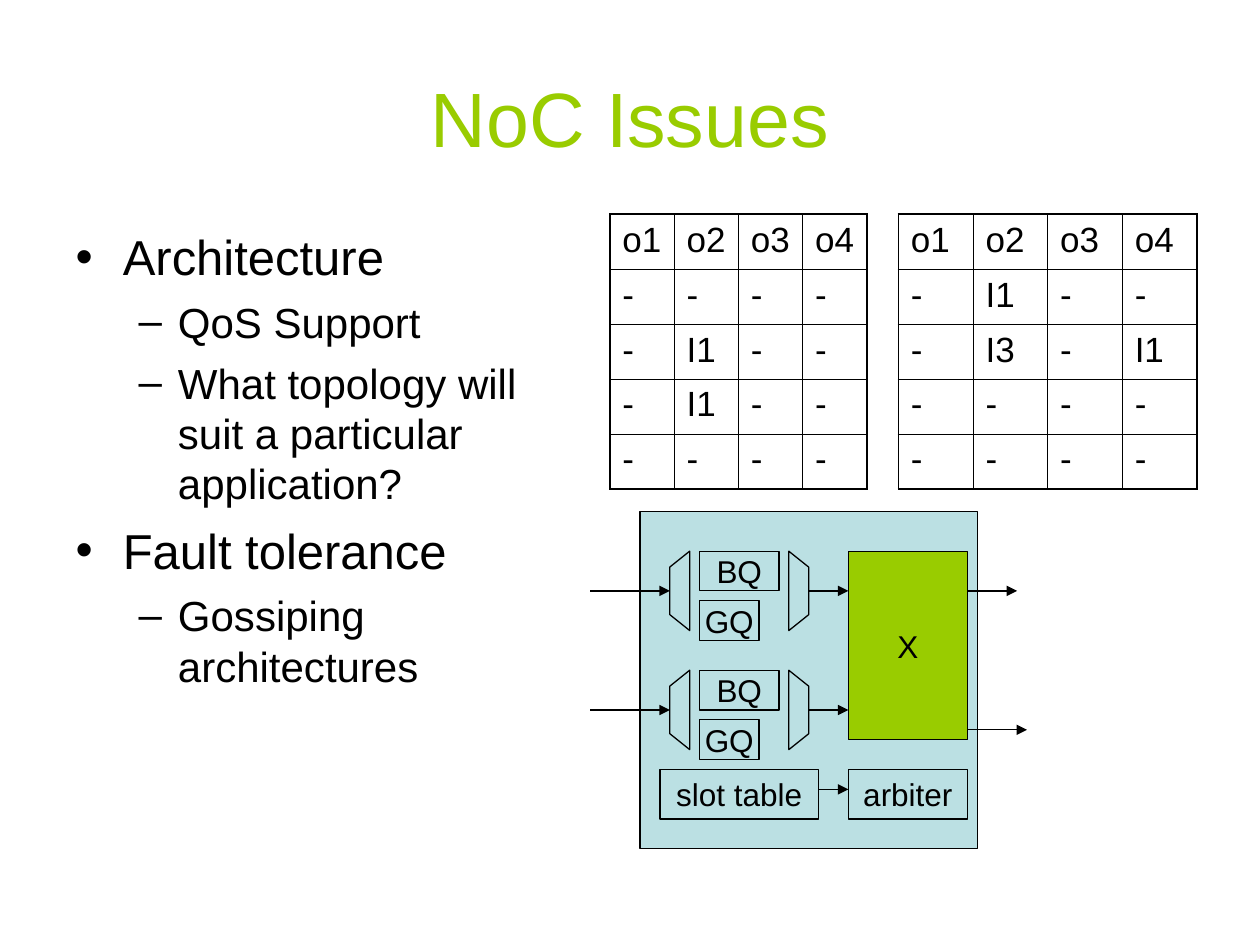
from lxml.etree import SubElement
from pptx import Presentation
from pptx.dml.color import RGBColor
from pptx.enum.shapes import MSO_CONNECTOR, MSO_SHAPE
from pptx.enum.text import MSO_ANCHOR, MSO_AUTO_SIZE, PP_ALIGN
from pptx.oxml.ns import qn
from pptx.util import Cm, Inches, Pt

BLACK, GREEN, PALE_BLUE = "000000", "99CC00", "BBE0E3"
FONT = "Arial"
UNIT = Cm(0.2)  # grid step of the router diagram
CHANNEL_PITCH = 12  # grid rows from one input channel to the next

ISSUES = [
    (0, "Architecture"),
    (1, "QoS Support"),
    (1, "What topology will suit a particular application?"),
    (0, "Fault tolerance"),
    (1, "Gossiping architectures"),
]
LEVEL_STYLE = {0: (28, 7), 1: (24, 6)}  # text size, space before
OUTPUTS = ["o1", "o2", "o3", "o4"]
LEFT_SLOTS = [OUTPUTS, "----", ["-", "I1", "-", "-"], ["-", "I1", "-", "-"], "----"]
RIGHT_SLOTS = [OUTPUTS, ["-", "I1", "-", "-"], ["-", "I3", "-", "I1"], "----", "----"]


def colour(hex_string):
    return RGBColor.from_string(hex_string)


def add_run(paragraph, text, size, hex_string=BLACK):
    run = paragraph.add_run()
    run.text = text
    run.font.name = FONT
    run.font.size = Pt(size)
    run.font.color.rgb = colour(hex_string)


def place(shape, box):
    shape.left, shape.top, shape.width, shape.height = box


def fill_title(title, box, text):
    place(title, box)
    title.text_frame.vertical_anchor = MSO_ANCHOR.MIDDLE
    paragraph = title.text_frame.paragraphs[0]
    paragraph.alignment = PP_ALIGN.CENTER
    add_run(paragraph, text, 44, GREEN)


def fill_issues(body, box):
    place(body, box)
    frame = body.text_frame
    frame.auto_size = MSO_AUTO_SIZE.NONE
    for index, (level, text) in enumerate(ISSUES):
        paragraph = frame.add_paragraph() if index else frame.paragraphs[0]
        size, space = LEVEL_STYLE[level]
        paragraph.level = level
        paragraph.space_before = Pt(space)
        add_run(paragraph, text, size)


def draw_border(cell, side, width):
    line = SubElement(cell._tc.get_or_add_tcPr(), qn(f"a:ln{side}"), w=str(Pt(width)))
    fill = SubElement(line, qn("a:solidFill"))
    SubElement(fill, qn("a:srgbClr"), val=BLACK)


def add_slot_table(slide, box, rows):
    """Draw a slot table with a thin inner grid and a heavier outer frame."""
    last_row, last_column = len(rows) - 1, len(rows[0]) - 1
    table = slide.shapes.add_table(len(rows), len(rows[0]), *box).table
    table.first_row = table.horz_banding = False
    for r, row in enumerate(rows):
        for c, text in enumerate(row):
            cell = table.cell(r, c)
            paragraph = cell.text_frame.paragraphs[0]
            paragraph.space_before = Pt(5)
            add_run(paragraph, text, 20)
            outer = {"L": c == 0, "R": c == last_column, "T": r == 0, "B": r == last_row}
            for side, is_outer in outer.items():
                draw_border(cell, side, 1.08 if is_outer else 0.45)
            cell.fill.background()


class Router:
    """Diagram whose parts are placed in grid columns and rows from its corner."""

    def __init__(self, slide, left, top):
        self.shapes, self.left, self.top = slide.shapes, left, top

    def point(self, column, row):
        return self.left + round(column * UNIT), self.top + round(row * UNIT)

    def block(self, column, row, columns, rows, label="", fill=PALE_BLUE,
              kind=MSO_SHAPE.RECTANGLE):
        shape = self.shapes.add_shape(
            kind, *self.point(column, row), columns * UNIT, rows * UNIT)
        shape.shadow.inherit = False
        shape.fill.solid()
        shape.fill.fore_color.rgb = colour(fill)
        shape.line.color.rgb = colour(BLACK)
        shape.line.width = Pt(0.75)
        if label:
            frame = shape.text_frame
            frame.word_wrap = False
            frame.vertical_anchor = MSO_ANCHOR.MIDDLE
            frame.paragraphs[0].alignment = PP_ALIGN.CENTER
            add_run(frame.paragraphs[0], label, 18)
        return shape

    def selector(self, column, row, rotation):
        """Stand an 8 by 2 trapezoid on end, so that it fills 2 columns by 8 rows."""
        shape = self.block(column - 3, row + 3, 8, 2,
                           kind=MSO_SHAPE.FLOWCHART_MANUAL_OPERATION)
        shape.rotation = rotation

    def arrow(self, start, end, row):
        line = self.shapes.add_connector(
            MSO_CONNECTOR.STRAIGHT, *self.point(start, row), *self.point(end, row))
        line.line.color.rgb = colour(BLACK)
        line.line.width = Pt(0.75)
        SubElement(line.line._get_or_add_ln(), qn("a:tailEnd"), type="triangle")
        SubElement(line._element.spPr, qn("a:effectLst"))

    def channel(self, row):
        """Draw one input with its two queues between two selectors."""
        self.block(6, row, 8, 4, "BQ")
        self.block(6, row + 5, 6, 4, "GQ")
        self.selector(3, row, 90)
        self.selector(15, row, 270)
        self.arrow(-5, 3, row + 4)
        self.arrow(17, 21, row + 4)

    def draw(self):
        self.block(0, 0, 34, 34)
        self.block(21, 4, 12, 19, "X", GREEN)
        self.block(21, 26, 12, 5, "arbiter")
        self.block(2, 26, 16, 5, "slot table")
        for index in range(2):
            self.channel(4 + index * CHANNEL_PITCH)
        self.arrow(33, 38, 8)
        self.arrow(33, 39, 22)
        self.arrow(18, 21, 28)


def main():
    deck = Presentation()
    deck.slide_width, deck.slide_height = Inches(10), Inches(7.5)
    slide = deck.slides.add_slide(deck.slide_layouts[1])
    title, body = slide.placeholders

    def inches(*lengths):
        return [Inches(length) for length in lengths]

    fill_title(title, inches(0.5, 0.3, 9, 1.25), "NoC Issues")
    fill_issues(body, inches(0.5, 1.75, 3.71, 4.95))
    add_slot_table(slide, inches(7.13, 1.7, 2.37, 2.18), RIGHT_SLOTS)
    add_slot_table(slide, inches(4.84, 1.7, 2.04, 2.18), LEFT_SLOTS)
    Router(slide, *inches(5.08, 4.06)).draw()
    deck.save("out.pptx")


if __name__ == "__main__":
    main()
